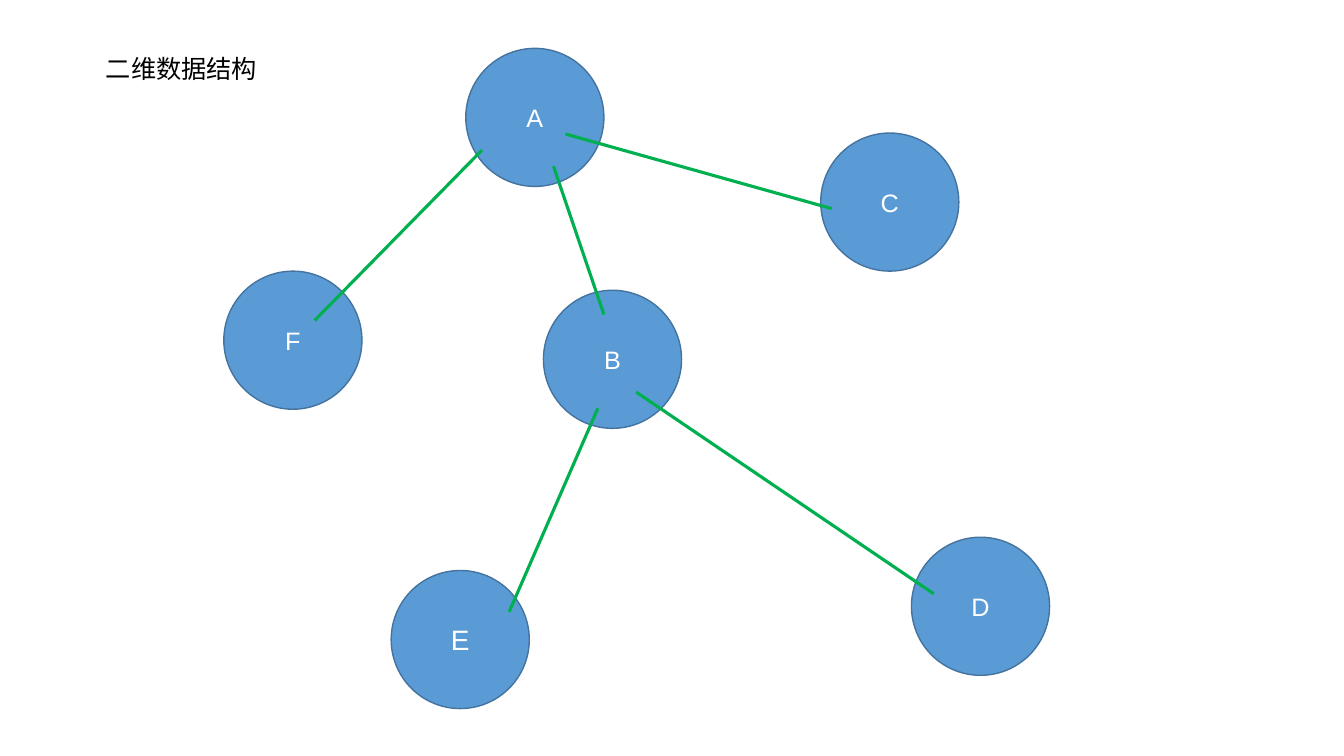
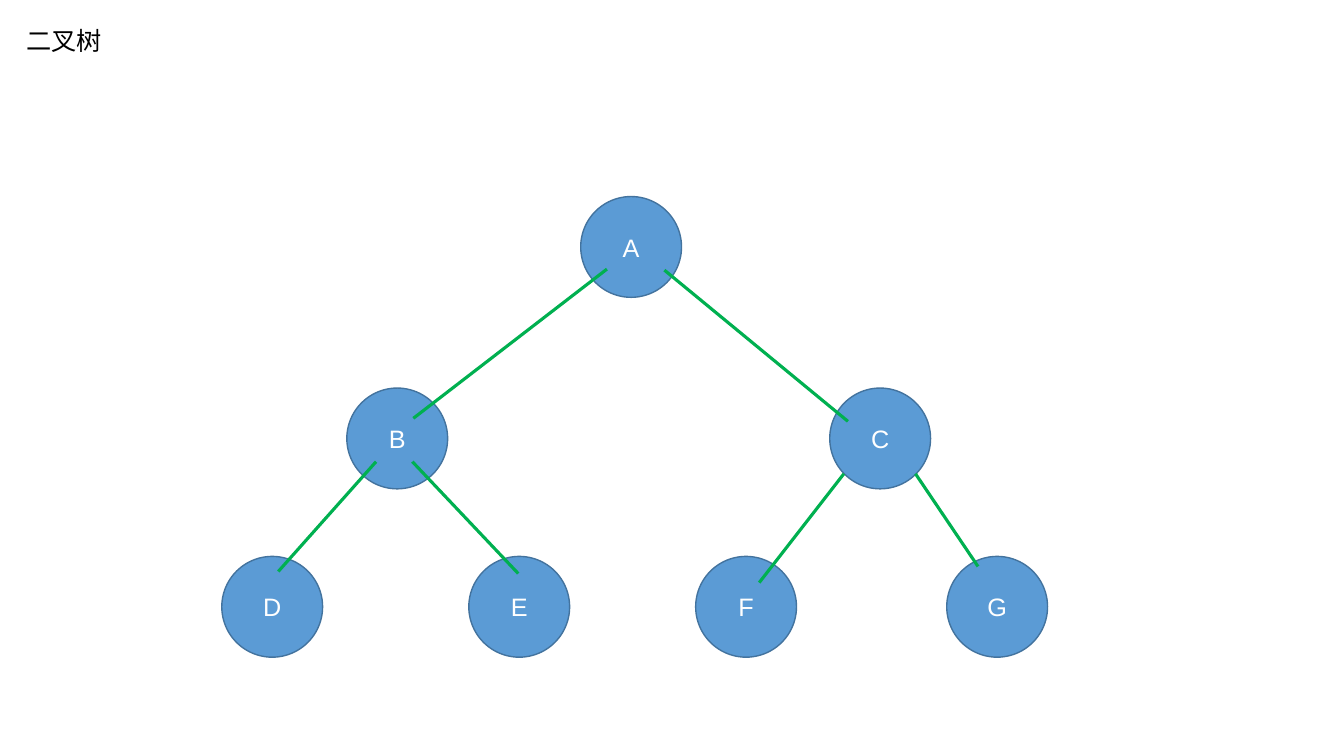
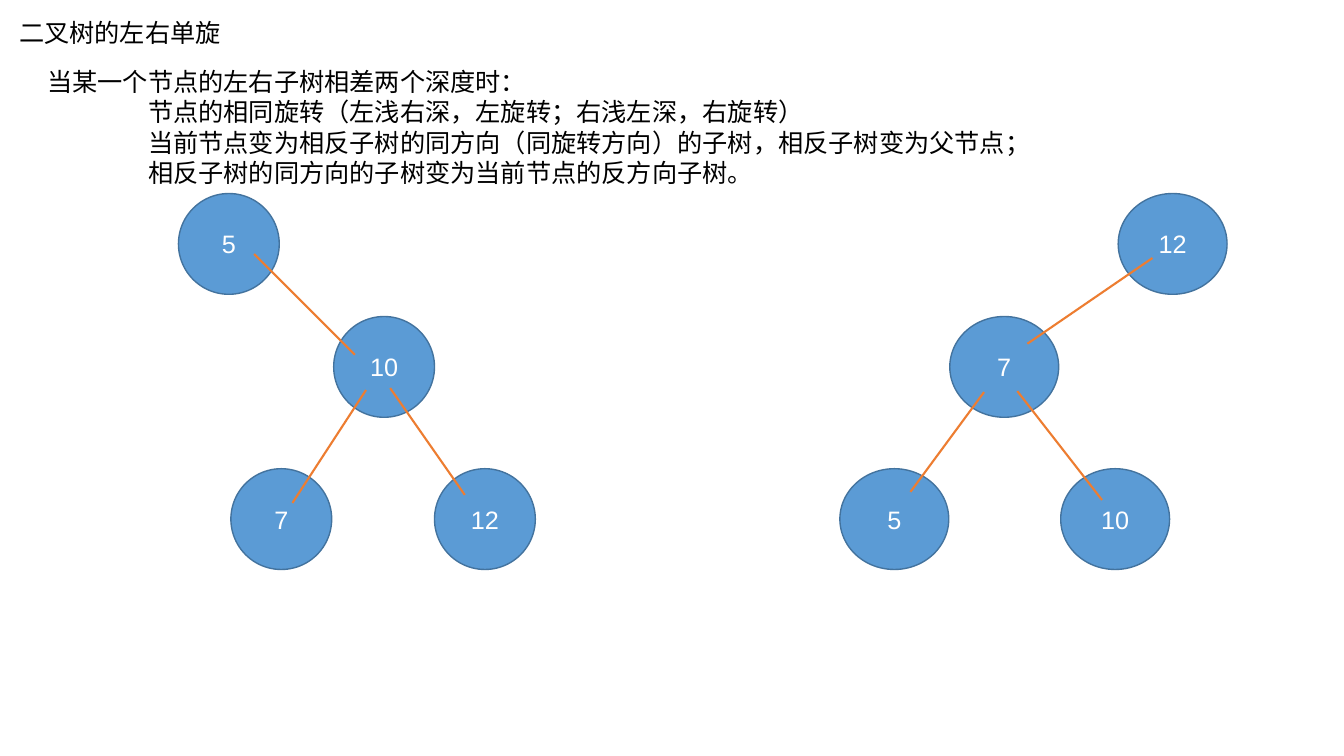
from pptx import Presentation
from pptx.dml.color import RGBColor
from pptx.enum import shapes, text
from pptx.oxml.ns import qn
from pptx.util import Inches, Pt
from lxml import etree

# Shared style
BLUE = RGBColor(0x5B, 0x9B, 0xD5)
EDGE = RGBColor(0x43, 0x73, 0x9E)
GREEN = RGBColor(0x00, 0xB0, 0x50)
ORANGE = RGBColor(0xED, 0x7D, 0x31)
WHITE = RGBColor(0xFF, 0xFF, 0xFF)
BLACK = RGBColor(0x00, 0x00, 0x00)
FONT = "Arial"
SIZE = 18


def style(frame, color, align, anchor, size=SIZE):
    frame.vertical_anchor = anchor
    for para in frame.paragraphs:
        para.alignment = align
        for run in para.runs:
            run.font.name = FONT
            run.font.size = Pt(size)
            run.font.color.rgb = color


def draw(title, box, nodes, links, color, width):
    slide = deck.slides.add_slide(deck.slide_layouts[5])

    # Title, with the right inset freed so that it stays on one line
    head = slide.shapes.title
    head.left, head.top, head.width, head.height = map(Inches, box)
    frame = head.text_frame
    frame.text = title
    frame.word_wrap = True
    frame.margin_right = Inches(0)
    frame.auto_size = text.MSO_AUTO_SIZE.NONE
    style(frame, BLACK, text.PP_ALIGN.LEFT, text.MSO_ANCHOR.TOP)

    # Tree nodes
    for label, x, y, w, h, size in nodes:
        node = slide.shapes.add_shape(shapes.MSO_SHAPE.OVAL, *map(Inches, (x, y, w, h)))
        node.shadow.inherit = False
        node.fill.solid()
        node.fill.fore_color.rgb = BLUE
        node.line.color.rgb = EDGE
        node.line.width = Pt(1)
        node.text_frame.text = label
        style(node.text_frame, WHITE, text.PP_ALIGN.CENTER, text.MSO_ANCHOR.MIDDLE, size)

    # Branches
    for ends in links:
        link = slide.shapes.add_connector(shapes.MSO_CONNECTOR.STRAIGHT, *map(Inches, ends))
        link.line.color.rgb = color
        link.line.width = Pt(width)
        etree.SubElement(link._element.spPr, qn("a:effectLst"))
    return slide


deck = Presentation()
deck.slide_width, deck.slide_height = Inches(13.33), Inches(7.5)

# Slide 1: free graph
D = 1.37
nodes = [
    ("A", 4.62, 0.48, D, D, SIZE),
    ("B", 5.39, 2.88, D, D, SIZE),
    ("C", 8.14, 1.32, D, D, SIZE),
    ("E", 3.88, 5.66, D, D, 20),
    ("D", 9.04, 5.33, D, D, SIZE),
    ("F", 2.22, 2.69, D, D, SIZE),
]
links = [
    (5.61, 1.33, 8.25, 2.07),
    (5.49, 1.65, 5.99, 3.12),
    (3.12, 3.18, 4.78, 1.49),
    (5.05, 6.07, 5.93, 4.05),
    (6.31, 3.89, 9.26, 5.89),
]
draw("二维数据结构", (0.95, 0.48, 1.7, 0.71), nodes, links, GREEN, 2.25)

# Slide 2: binary tree, one row per level
levels = [
    (1.95, [("A", 5.76)]),
    (3.85, [("B", 3.44), ("C", 8.23)]),
    (5.52, [("D", 2.2), ("E", 4.65), ("F", 6.9), ("G", 9.39)]),
]
nodes = [(label, x, y, 1, 1, SIZE) for y, row in levels for label, x in row]
links = [
    (6.59, 2.68, 8.41, 4.18),
    (4.1, 4.15, 6.02, 2.67),
    (8.37, 4.7, 7.53, 5.78),
    (9.08, 4.7, 9.7, 5.62),
    (4.09, 4.58, 5.14, 5.69),
    (3.73, 4.58, 2.76, 5.67),
]
draw("二叉树", (0.16, 0.2, 0.95, 0.4), nodes, links, GREEN, 2.25)

# Slide 3: left and right rotation
levels = [
    (1.92, [("5", 1.77, 1), ("12", 11.09, 1.08)]),
    (3.14, [("10", 3.31, 1), ("7", 9.42, 1.08)]),
    (4.65, [("7", 2.29, 1), ("12", 4.31, 1), ("5", 8.33, 1.08), ("10", 10.52, 1.08)]),
]
nodes = [(label, x, y, w, 1, SIZE) for y, row in levels for label, x, w in row]
links = [
    (2.52, 2.52, 3.52, 3.52),
    (3.63, 3.87, 2.9, 4.99),
    (3.87, 3.85, 4.61, 4.91),
    (10.09, 3.88, 10.93, 4.96),
    (9.76, 3.89, 9.03, 4.88),
    (10.19, 3.41, 11.43, 2.56),
]
slide = draw("二叉树的左右单旋", (0.09, 0.12, 2.2, 0.4), nodes, links, ORANGE, 1.5)

# Rotation rules, indented below their lead line
rules = [
    "当某一个节点的左右子树相差两个深度时：",
    "节点的相同旋转（左浅右深，左旋转；右浅左深，右旋转）",
    "当前节点变为相反子树的同方向（同旋转方向）的子树，相反子树变为父节点；",
    "相反子树的同方向的子树变为当前节点的反方向子树。",
]
note = slide.shapes.add_textbox(*map(Inches, (0.37, 0.61, 9.95, 1.31)))
frame = note.text_frame
frame.text = "\n".join(rules)
frame.word_wrap = False
frame.auto_size = text.MSO_AUTO_SIZE.SHAPE_TO_FIT_TEXT
style(frame, BLACK, text.PP_ALIGN.LEFT, text.MSO_ANCHOR.TOP)
for para in frame.paragraphs[1:]:
    para._p.get_or_add_pPr().set("marL", str(Inches(1)))

deck.save("out.pptx")
